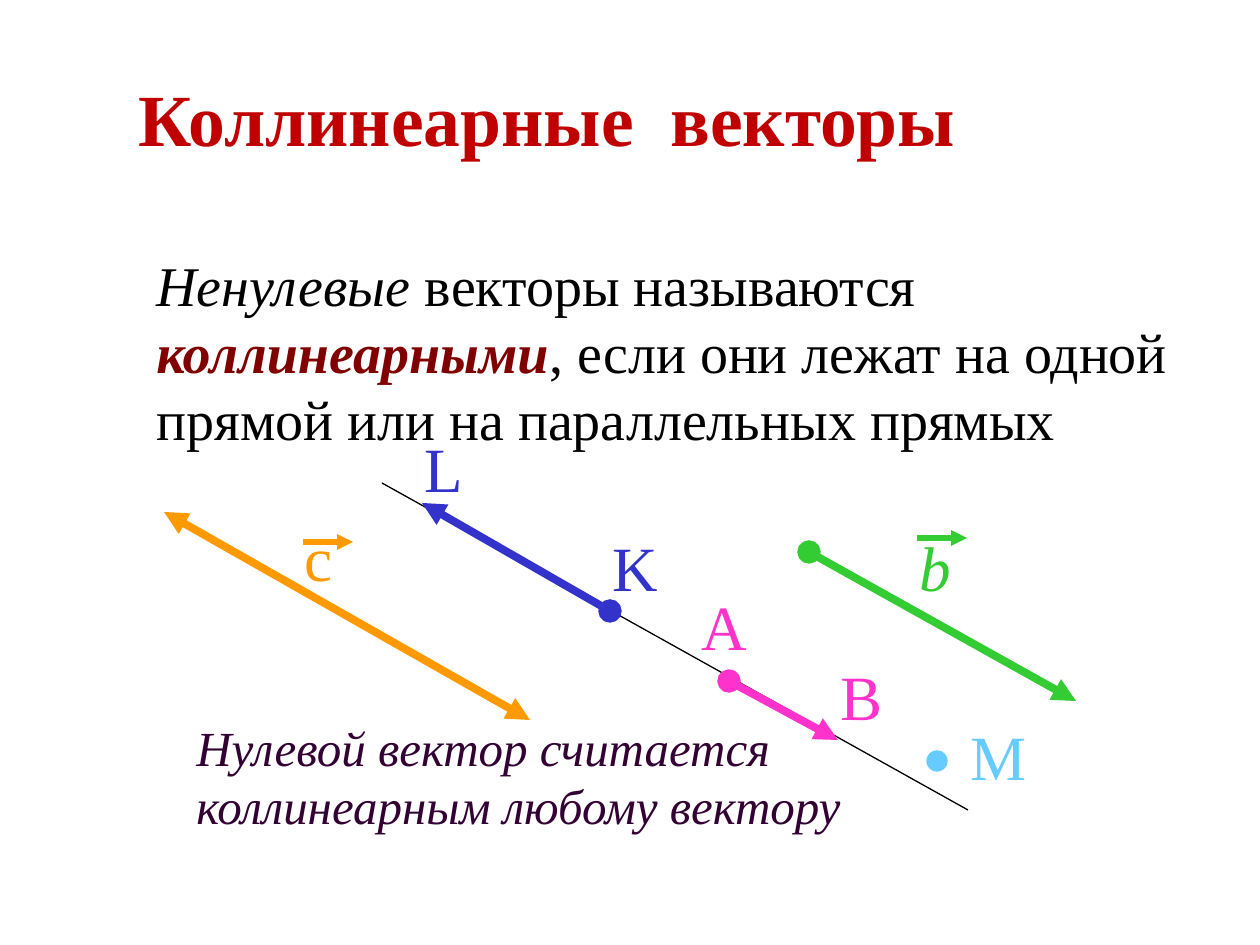
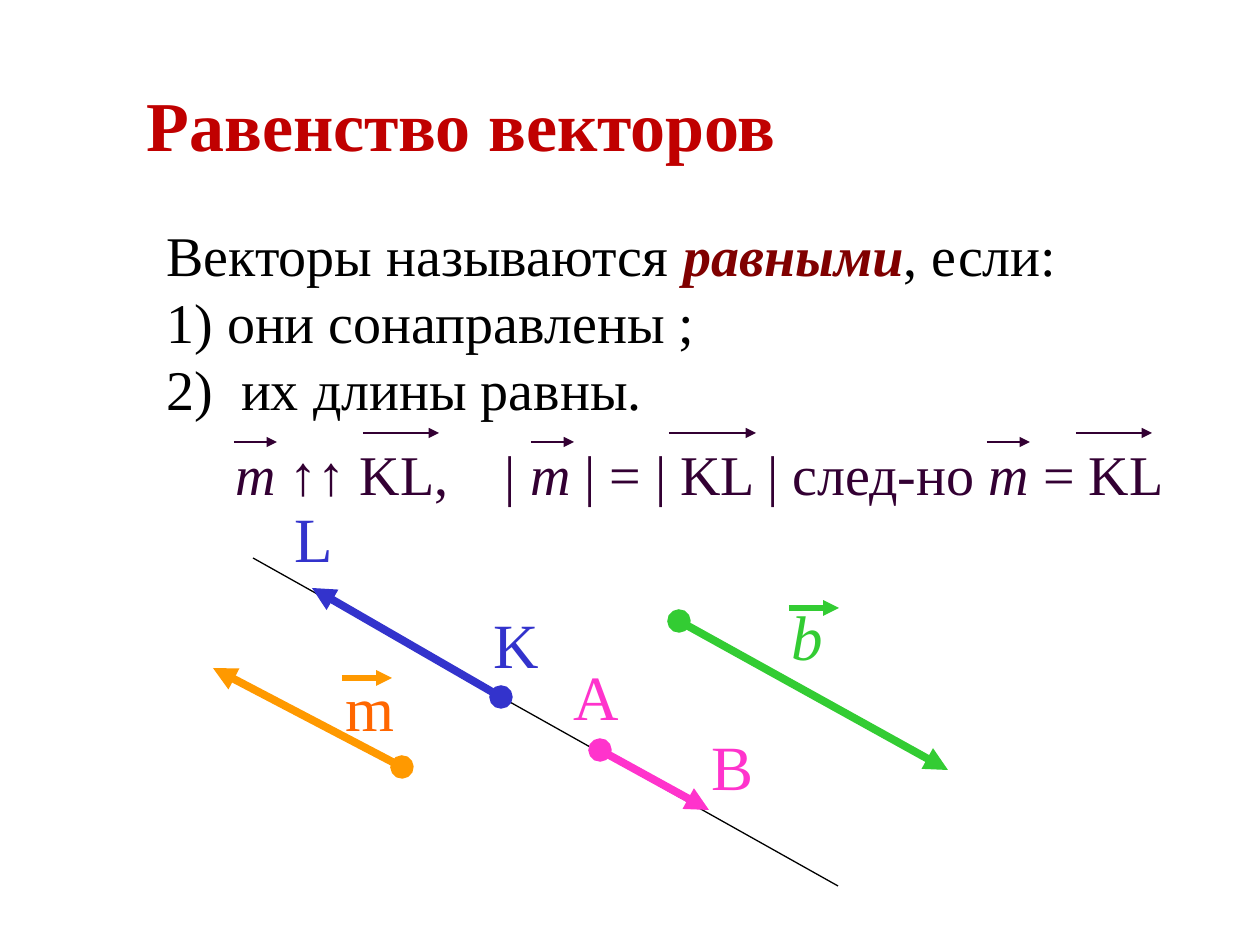
from lxml import etree
from pptx import Presentation
from pptx.dml.color import RGBColor
from pptx.enum.shapes import MSO_CONNECTOR, MSO_SHAPE
from pptx.enum.text import MSO_ANCHOR, MSO_AUTO_SIZE, PP_ALIGN
from pptx.oxml.ns import qn
from pptx.util import Pt

STRAIGHT = MSO_CONNECTOR.STRAIGHT
OVAL = MSO_SHAPE.OVAL
MIDDLE = MSO_ANCHOR.MIDDLE
NO_FIT = MSO_AUTO_SIZE.NONE
LEFT = PP_ALIGN.LEFT

PX = 914400 / 126
FONT = "Times New Roman"
RED = RGBColor(0xC0, 0x00, 0x00)
MAROON = RGBColor(0x80, 0x00, 0x00)
PLUM = RGBColor(0x33, 0x00, 0x33)
BLACK = RGBColor(0x00, 0x00, 0x00)
YELLOW = RGBColor(0xFF, 0x99, 0x00)
ORANGE = RGBColor(0xFF, 0x66, 0x00)
GREEN = RGBColor(0x33, 0xCC, 0x33)
BLUE = RGBColor(0x33, 0x33, 0xCC)
PINK = RGBColor(0xFF, 0x33, 0xCC)
SKY = RGBColor(0x66, 0xCC, 0xFF)


def add_text(s, box, size, paragraphs):
    sp = s.shapes.add_textbox(*[round(v * PX) for v in box])
    tf = sp.text_frame
    tf.word_wrap = True
    for i, runs in enumerate(paragraphs):
        p = tf.add_paragraph() if i else tf.paragraphs[0]
        p.line_spacing = Pt(size * 1.2)
        for text, color, style in runs:
            r = p.add_run()
            r.text = text
            r.font.name = FONT
            r.font.size = Pt(size)
            r.font.color.rgb = color
            r.font.bold = "b" in style
            r.font.italic = "i" in style


def add_line(s, ends, color, width, head=None, tail=None):
    c = s.shapes.add_connector(STRAIGHT, *[round(v * PX) for v in ends])
    c.line.color.rgb = color
    c.line.width = Pt(width)
    ln = c.line._get_or_add_ln()
    for tag, kind in (("a:headEnd", head), ("a:tailEnd", tail)):
        if kind:
            etree.SubElement(ln, qn(tag)).set("type", kind)
    etree.SubElement(c._element.spPr, qn("a:effectLst"))


slides = [
    {
        "title": ("Коллинеарные  векторы", 42, (126, 38, 1071, 158)),
        "texts": [
            ((184, 711, 764, 131), 28, [
                [("Нулевой вектор считается коллинеарным любому вектору", PLUM, "i")],
            ]),
            ((144, 244, 1042, 282), 32, [
                [("Ненулевые ", BLACK, "i"), ("векторы называются ", BLACK, ""),
                 ("коллинеарными", MAROON, "bi"),
                 (", если они лежат на одной прямой или на параллельных прямых", BLACK, "")],
            ]),
        ],
        "axis": (382, 483, 968, 810),
        "vectors": [
            ((164, 512, 530, 720), YELLOW, "triangle", "triangle"),
            ((809, 552, 1076, 701), GREEN, "oval", "triangle"),
            ((422, 503, 610, 611), BLUE, "triangle", "oval"),
            ((729, 681, 838, 740), PINK, "oval", "triangle"),
        ],
        "letters": [
            ("М", 958, 711, SKY, ""), ("с", 292, 512, YELLOW, ""),
            ("L", 412, 423, BLUE, ""), ("K", 600, 522, BLUE, ""),
            ("b", 907, 522, GREEN, "i"), ("A", 689, 581, PINK, ""),
            ("B", 828, 651, PINK, ""),
        ],
        "overlines": [
            (303, 542, 50, YELLOW, 3), (917, 538, 50, GREEN, 3),
        ],
        "points": [(927, 751, 20, SKY)],
    },
    {
        "title": ("Равенство векторов", 40, (134, 45, 1071, 158)),
        "texts": [
            ((154, 214, 1052, 214), 32, [
                [("Векторы называются ", BLACK, ""), ("равными", MAROON, "bi"),
                 (", если:", BLACK, "")],
                [("1) они сонаправлены ;", BLACK, "")],
                [("2)  их длины равны.", BLACK, "")],
            ]),
            ((223, 433, 992, 81), 32, [
                [("m ", PLUM, "i"), ("↑↑ KL,    | ", PLUM, ""), ("m", PLUM, "i"),
                 (" | = | KL | след-но ", PLUM, ""), ("m ", PLUM, "i"), ("= KL", PLUM, "")],
            ]),
        ],
        "axis": (253, 558, 838, 886),
        "vectors": [
            ((213, 668, 402, 767), YELLOW, "triangle", "oval"),
            ((679, 621, 948, 770), GREEN, "oval", "triangle"),
            ((312, 588, 501, 697), BLUE, "triangle", "oval"),
            ((600, 750, 709, 810), PINK, "oval", "triangle"),
        ],
        "letters": [
            ("L", 282, 493, BLUE, ""), ("K", 481, 599, BLUE, ""),
            ("b", 779, 591, GREEN, "i"), ("A", 561, 651, PINK, ""),
            ("B", 699, 721, PINK, ""), ("m", 333, 662, ORANGE, ""),
        ],
        "overlines": [
            (342, 678, 50, YELLOW, 3), (789, 608, 50, GREEN, 3),
            (234, 442, 43, PLUM, 0.75), (363, 433, 76, PLUM, 0.75),
            (531, 442, 43, PLUM, 0.75), (669, 433, 87, PLUM, 0.75),
            (987, 442, 43, PLUM, 0.75), (1076, 433, 76, PLUM, 0.75),
        ],
        "points": [],
    },
]

prs = Presentation()
prs.slide_width = round(1260 * PX)
prs.slide_height = round(945 * PX)

for spec_slide in slides:
    s = prs.slides.add_slide(prs.slide_layouts[5])
    text, size, box = spec_slide["title"]
    sp = s.shapes.title
    sp.left, sp.top, sp.width, sp.height = [round(v * PX) for v in box]
    tf = sp.text_frame
    tf.text = text
    tf.auto_size = NO_FIT
    tf.vertical_anchor = MIDDLE
    p = tf.paragraphs[0]
    p.alignment = LEFT
    p.line_spacing = Pt(size * 1.2)
    font = p.runs[0].font
    font.name = FONT
    font.size = Pt(size)
    font.bold = True
    font.color.rgb = RED

    add_line(s, spec_slide["axis"], BLACK, 0.75)
    for ends, color, head, tail in spec_slide["vectors"]:
        add_line(s, ends, color, 4.5, head, tail)
    for x, y, length, color, width in spec_slide["overlines"]:
        add_line(s, (x, y, x + length, y), color, width, tail="triangle")
    for x, y, d, color in spec_slide["points"]:
        sp = s.shapes.add_shape(OVAL, *[round(v * PX) for v in (x, y, d, d)])
        sp.shadow.inherit = False
        sp.fill.solid()
        sp.fill.fore_color.rgb = color
        sp.line.color.rgb = color
        sp.line.width = Pt(0.75)
    for letter, x, y, color, style in spec_slide["letters"]:
        add_text(s, (x, y, 79, 88), 36, [[(letter, color, style)]])
    for box, size, paragraphs in spec_slide["texts"]:
        add_text(s, box, size, paragraphs)

prs.save("out.pptx")
